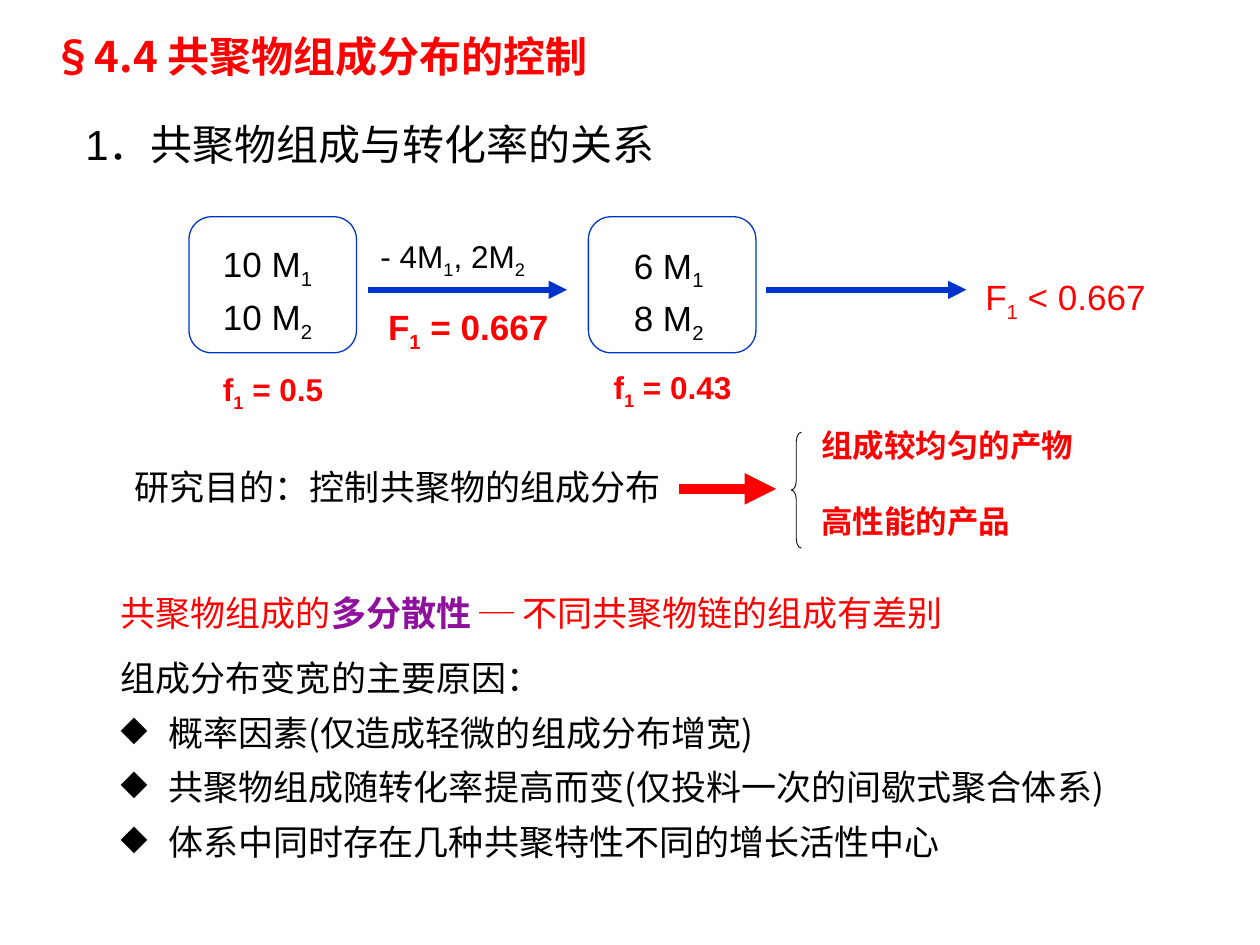
"""Build the slide on controlling copolymer composition distribution."""
from lxml import etree
from pptx import Presentation
from pptx import util as u
from pptx.dml.color import RGBColor
from pptx.enum import shapes, text
from pptx.oxml.ns import qn

COLORS = {"red": "FF0000", "black": "000000", "blue": "0033CC", "purple": "90109E"}
CJK, LATIN = "Noto Sans CJK SC", "Arial"
LEFT, JUSTIFY = text.PP_ALIGN.LEFT, text.PP_ALIGN.JUSTIFY

# Headings: position, size, font, alignment, point size, line pitch, gap, colour, bold, lines
HEADINGS = [
    ((0.32, 0.18, 7.83, 0.51), CJK, JUSTIFY, 24, 29.5, 0, "red", True,
     ["§4.4 共聚物组成分布的控制"]),
    ((0.58, 0.88, 5.72, 0.51), LATIN, LEFT, 24, 29.5, 0, "black", False,
     ["1．共聚物组成与转化率的关系"]),
    ((0.97, 3.64, 4.88, 0.44), CJK, LEFT, 20, 24.5, 0, "black", False,
     ["研究目的：控制共聚物的组成分布"]),
    ((6.42, 3.33, 2.92, 1.01), CJK, JUSTIFY, 18, 21.75, 21.75, "red", True,
     ["组成较均匀的产物", "高性能的产品"]),
]

# Formulas: position, point size, line spacing, colour, bold, lines with |subscripts|
FORMULAS = [
    ((1.75, 1.88, 0.77, 0.74), 20, 1.1, "black", False, ["10 M|1", "10 M|2"]),
    ((5.01, 1.89, 0.62, 0.76), 20, 1.1, "black", False, ["6 M|1", "8 M|2"]),
    ((3, 1.8, 1.23, 0.35), 18, 1.2, "black", False, ["- 4M|1|, 2M|2"]),
    ((3.06, 2.34, 1.34, 0.39), 20, 1.2, "red", True, ["F|1| = 0.667"]),
    ((7.8, 2.1, 1.34, 0.39), 20, 1.2, "red", False, ["F|1| < 0.667"]),
    ((1.75, 2.86, 0.86, 0.35), 18, 1.2, "red", True, ["f|1| = 0.5"]),
    ((4.85, 2.84, 1, 0.35), 18, 1.2, "red", True, ["f|1| = 0.43"]),
]

SUMMARY = [
    ("共聚物组成的", "red", False),
    ("多分散性 ", "purple", True),
    ("─ 不同共聚物链的组成有差别", "red", False),
]
CAUSES_TITLE = "组成分布变宽的主要原因："
CAUSES = [
    "概率因素(仅造成轻微的组成分布增宽)",
    "共聚物组成随转化率提高而变(仅投料一次的间歇式聚合体系)",
    "体系中同时存在几种共聚特性不同的增长活性中心",
]

STATE_LEFTS = (1.5, 4.67)
STATE_TOP, STATE_WIDTH, STATE_HEIGHT = 1.72, 1.33, 1.08
ARROWS = [
    (2.92, 4.5, 2.3, "blue", 3.5),
    (6.08, 7.67, 2.3, "blue", 3.5),
    (5.39, 6.16, 3.88, "red", 6),
]


def rgb(name):
    return RGBColor.from_string(COLORS[name])


def add_box(page, place, margins=(0.1, 0.05), wrap=True):
    frame = page.shapes.add_textbox(*map(u.Inches, place)).text_frame
    frame.margin_left = frame.margin_right = u.Inches(margins[0])
    frame.margin_top = frame.margin_bottom = u.Inches(margins[1])
    frame.word_wrap = wrap
    frame.auto_size = text.MSO_AUTO_SIZE.SHAPE_TO_FIT_TEXT
    return frame


def add_para(frame, spacing, align=JUSTIFY, before=0):
    first = frame.paragraphs[0]
    para = frame.add_paragraph() if first.runs else first
    para.alignment = align
    para.line_spacing = spacing
    para.space_before = u.Pt(before)
    return para


def add_span(para, words, font, size, color, bold=False, subscript=False):
    span = para.add_run()
    span.text = words
    span.font.name, span.font.size, span.font.bold = font, u.Pt(size), bold
    span.font.color.rgb = rgb(color)
    props = span.font._element
    etree.SubElement(props, qn("a:ea")).set("typeface", CJK)
    if subscript:
        props.set("baseline", "-25000")


def add_bullet(para):
    props = para._p.get_or_add_pPr()
    props.set("marL", str(u.Inches(0.38)))
    props.set("indent", str(-u.Inches(0.38)))
    etree.SubElement(props, qn("a:buChar")).set("char", "◆")


def add_outline(page, kind, place, color, width):
    shape = page.shapes.add_shape(kind, *map(u.Inches, place))
    shape.shadow.inherit = False
    shape.fill.background()
    shape.line.color.rgb = rgb(color)
    shape.line.width = u.Pt(width)
    return shape


def add_arrow(page, start, end, level, color, width):
    arrow = page.shapes.add_connector(
        shapes.MSO_CONNECTOR.STRAIGHT, *map(u.Inches, (start, level, end, level)))
    arrow.line.color.rgb = rgb(color)
    arrow.line.width = u.Pt(width)
    etree.SubElement(arrow.line._get_or_add_ln(), qn("a:tailEnd")).set("type", "triangle")
    etree.SubElement(arrow._element.spPr, qn("a:effectLst"))


def add_reasons(page):
    frame = add_box(page, (0.86, 4.55, 8.5, 2.37))
    pitch = u.Pt(31.1)
    para = add_para(frame, pitch)
    for words, color, bold in SUMMARY:
        add_span(para, words, CJK, 20, color, bold)
    add_span(add_para(frame, pitch, before=6), CAUSES_TITLE, CJK, 20, "black")
    for cause in CAUSES:
        para = add_para(frame, pitch)
        add_bullet(para)
        add_span(para, cause, CJK, 20, "black")


def main():
    deck = Presentation()
    deck.slide_width, deck.slide_height = u.Inches(10), u.Inches(7.5)
    page = deck.slides.add_slide(deck.slide_layouts[6])

    for place, font, align, size, pitch, gap, color, bold, lines in HEADINGS:
        frame = add_box(page, place)
        for index, line in enumerate(lines):
            para = add_para(frame, u.Pt(pitch), align, gap if index else 0)
            add_span(para, line, font, size, color, bold)

    for left in STATE_LEFTS:
        add_outline(page, shapes.MSO_SHAPE.FLOWCHART_ALTERNATE_PROCESS,
                    (left, STATE_TOP, STATE_WIDTH, STATE_HEIGHT), "blue", 0.75)
    brace = add_outline(page, shapes.MSO_SHAPE.LEFT_BRACE,
                        (6.28, 3.43, 0.08, 0.92), "black", 0.5)
    brace.adjustments[0] = 0.92
    for arrow in ARROWS:
        add_arrow(page, *arrow)

    for place, size, spacing, color, bold, lines in FORMULAS:
        frame = add_box(page, place, (0.02, 0.01), False)
        for line in lines:
            para = add_para(frame, spacing)
            for index, words in enumerate(line.split("|")):
                add_span(para, words, LATIN, size, color, bold, index % 2 == 1)

    add_reasons(page)
    deck.save("out.pptx")


if __name__ == "__main__":
    main()
